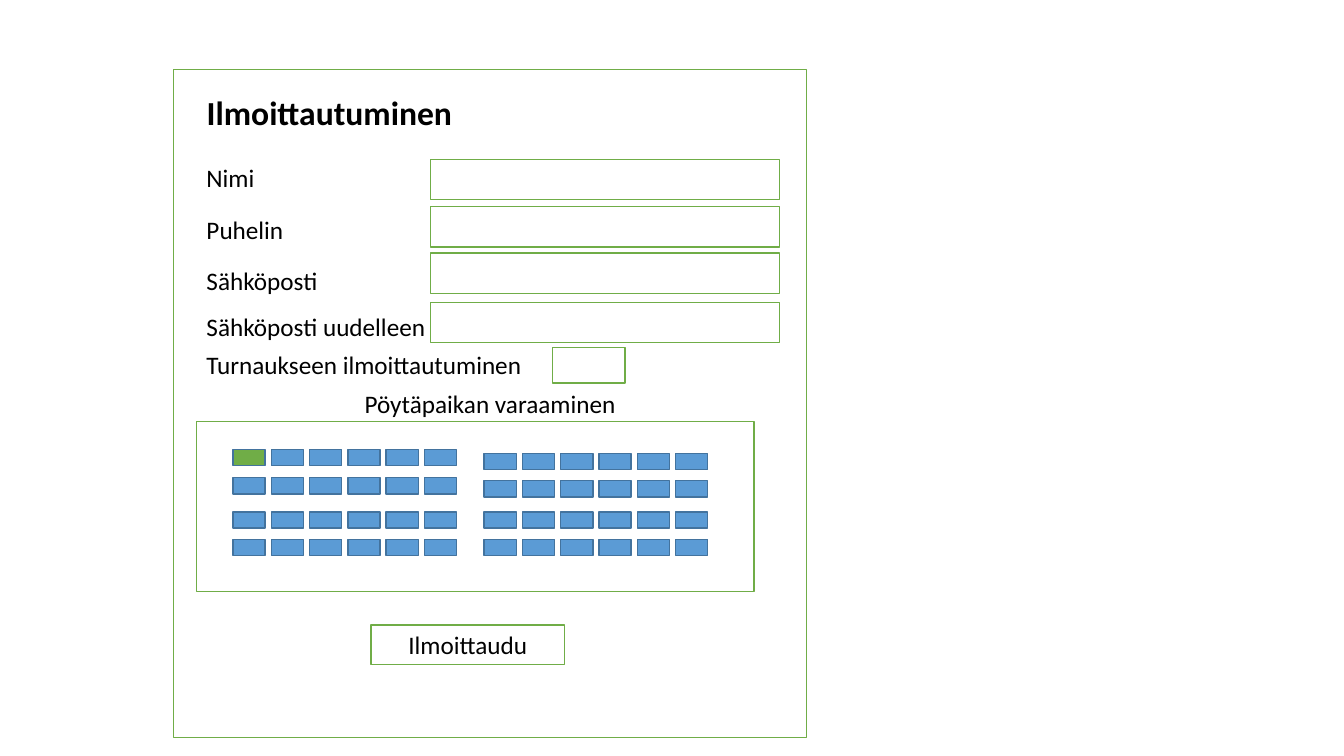
"""Builds the tournament sign-up form slide with its seat map."""
from dataclasses import dataclass
from itertools import product

from pptx import Presentation
from pptx.dml.color import RGBColor
from pptx.enum.shapes import MSO_SHAPE
from pptx.enum.text import MSO_ANCHOR, PP_ALIGN
from pptx.util import Inches, Pt

RECTANGLE = MSO_SHAPE.RECTANGLE
TOP, MIDDLE = MSO_ANCHOR.TOP, MSO_ANCHOR.MIDDLE
LEFT, CENTER = PP_ALIGN.LEFT, PP_ALIGN.CENTER


@dataclass(frozen=True)
class Theme:
    font: str = "Calibri"
    heading_size: int = 24
    body_size: int = 18
    text: str = "000000"
    paper: str = "FFFFFF"
    accent: str = "70AD47"
    seat: str = "5B9BD5"
    seat_edge: str = "43739E"


THEME = Theme()

HEADING = "Ilmoittautuminen"
SEATING_CAPTION = "Pöytäpaikan varaaminen"
SUBMIT = "Ilmoittaudu"

ENTRY_LEFT, ENTRY_WIDTH, ENTRY_HEIGHT = 4.27, 3.46, 0.4
FIELDS = [
    ("Nimi", 1.56, (ENTRY_LEFT, 1.58, ENTRY_WIDTH, ENTRY_HEIGHT)),
    ("Puhelin", 2.08, (ENTRY_LEFT, 2.05, ENTRY_WIDTH, ENTRY_HEIGHT)),
    ("Sähköposti", 2.58, (ENTRY_LEFT, 2.51, ENTRY_WIDTH, ENTRY_HEIGHT)),
    ("Sähköposti uudelleen", 3.04, (ENTRY_LEFT, 3.0, ENTRY_WIDTH, ENTRY_HEIGHT)),
    ("Turnaukseen ilmoittautuminen", 3.42, (5.48, 3.45, 0.72, 0.35)),
]
SEAT_BLOCKS = [
    (2.31, (4.46, 4.74, 5.08, 5.35)),
    (4.8, (4.5, 4.77, 5.08, 5.35)),
]
SEATS_PER_ROW, SEAT_PITCH = 6, 0.38
SEAT_WIDTH, SEAT_HEIGHT = 0.32, 0.16
CHOSEN_SEAT = (2.31, 4.46)

FORM = (1.72, 0.69, 6.28, 6.63)
HEADING_BOX = (1.95, 0.86, 3.65, 0.5)
LABEL_LEFT, LABEL_WIDTH, LABEL_HEIGHT = 1.95, 3.4, 0.4
SUBMIT_BUTTON = (3.68, 6.2, 1.92, 0.39)
SEAT_MAP = (1.95, 4.18, 5.53, 1.69)


def write(shape, text, size=THEME.body_size, bold=False, align=LEFT, anchor=TOP):
    frame = shape.text_frame
    frame.word_wrap = True
    frame.vertical_anchor = anchor
    paragraph = frame.paragraphs[0]
    paragraph.alignment = align
    run = paragraph.add_run()
    run.text = text
    run.font.name = THEME.font
    run.font.size = Pt(size)
    run.font.bold = bold
    run.font.color.rgb = RGBColor.from_string(THEME.text)


def draw_box(slide, box, fill=THEME.paper, edge=THEME.accent):
    shape = slide.shapes.add_shape(RECTANGLE, *map(Inches, box))
    shape.shadow.inherit = False
    shape.fill.solid()
    shape.fill.fore_color.rgb = RGBColor.from_string(fill)
    shape.line.color.rgb = RGBColor.from_string(edge)
    shape.line.width = Pt(1)
    return shape


deck = Presentation()
deck.slide_width, deck.slide_height = Inches(13.33), Inches(7.5)
slide = deck.slides.add_slide(deck.slide_layouts[5])

form = draw_box(slide, FORM)
write(form, SEATING_CAPTION, align=CENTER, anchor=MIDDLE)

heading = slide.shapes.title
heading.left, heading.top, heading.width, heading.height = map(Inches, HEADING_BOX)
write(heading, HEADING, size=THEME.heading_size, bold=True)
form._element.addnext(heading._element)

for label, label_top, entry in FIELDS:
    label_box = (LABEL_LEFT, label_top, LABEL_WIDTH, LABEL_HEIGHT)
    write(slide.shapes.add_textbox(*map(Inches, label_box)), label)
    draw_box(slide, entry)

write(draw_box(slide, SUBMIT_BUTTON), SUBMIT, align=CENTER, anchor=MIDDLE)

draw_box(slide, SEAT_MAP)
for block_left, row_tops in SEAT_BLOCKS:
    for row_top, column in product(row_tops, range(SEATS_PER_ROW)):
        seat_left = block_left + column * SEAT_PITCH
        chosen = (seat_left, row_top) == CHOSEN_SEAT
        draw_box(slide, (seat_left, row_top, SEAT_WIDTH, SEAT_HEIGHT),
                 fill=THEME.accent if chosen else THEME.seat, edge=THEME.seat_edge)

deck.save("out.pptx")
